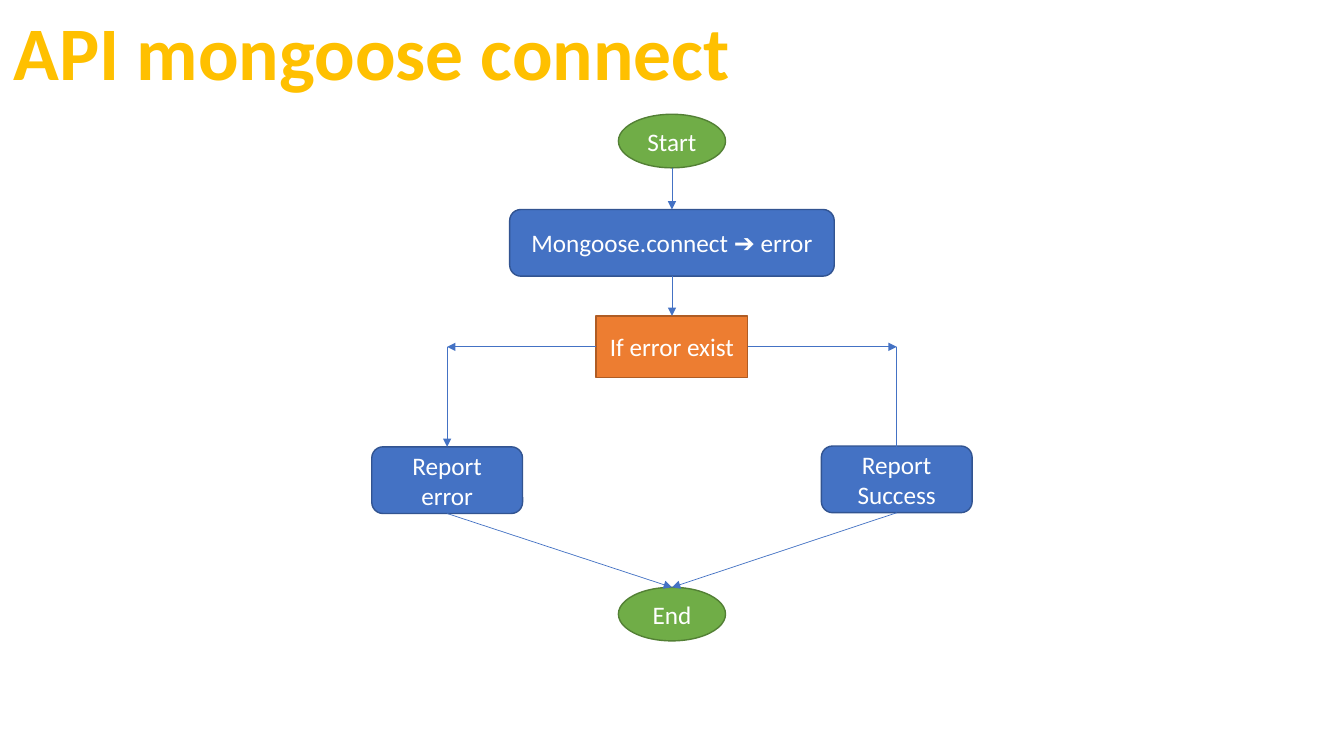
from lxml import etree
from pptx import Presentation
from pptx.dml.color import RGBColor
from pptx.enum.shapes import MSO_CONNECTOR as Link, MSO_SHAPE as Preset
from pptx.enum.text import MSO_ANCHOR as Anchor, MSO_AUTO_SIZE as AutoSize, PP_ALIGN as Align
from pptx.oxml.ns import qn
from pptx.util import Cm, Pt

COLORS = {
    "title": "FFC000", "text": "FFFFFF", "arrow": "4472C4",
    "terminal": "70AD47", "terminal line": "538035",
    "step": "4472C4", "step line": "325491",
    "test": "ED7D31", "test line": "AF5C24",
}
# Outline, width and height in cm for each kind of node
KINDS = {
    "terminal": (Preset.OVAL, 2.7, 1.35),
    "step": (Preset.ROUNDED_RECTANGLE, 3.8, 1.68),
    "test": (Preset.RECTANGLE, 3.82, 1.56),
}
TOP, LEFT, BOTTOM, RIGHT = range(4)


def color(name):
    return RGBColor.from_string(COLORS[name])


def write(box, text, size, color_name, bold=False):
    para = box.text_frame.paragraphs[0]
    para.alignment = Align.CENTER
    span = para.add_run()
    span.text = text
    span.font.name = "Calibri"
    span.font.size = Pt(size)
    span.font.bold = bold
    span.font.color.rgb = color(color_name)


def add_title(page, left, top, width, height):
    box = page.shapes.add_textbox(left, top, width, height)
    box.text_frame.word_wrap = False
    box.text_frame.auto_size = AutoSize.SHAPE_TO_FIT_TEXT
    write(box, "API mongoose connect", 54, "title", bold=True)


def add_node(page, kind, text, center, top, width=None):
    """Place a node by its horizontal centre and its top edge."""
    preset, usual_width, height = KINDS[kind]
    width = Cm(width or usual_width)
    box = page.shapes.add_shape(preset, center - width // 2, top, width, Cm(height))
    box.shadow.inherit = False
    box.fill.solid()
    box.fill.fore_color.rgb = color(kind)
    box.line.color.rgb = color(kind + " line")
    box.line.width = Pt(1)
    box.text_frame.word_wrap = True
    box.text_frame.vertical_anchor = Anchor.MIDDLE
    write(box, text, 18, "text")
    return box


def add_arrow(page, start, end, start_node=None, end_node=None):
    """Draw an arrow between points; a node given as (box, side) is joined."""
    arrow = page.shapes.add_connector(Link.STRAIGHT, *start, *end)
    if start_node:
        arrow.begin_connect(*start_node)
    if end_node:
        arrow.end_connect(*end_node)
    arrow.line.color.rgb = color("arrow")
    arrow.line.width = Pt(0.5)
    etree.SubElement(arrow.line._get_or_add_ln(), qn("a:tailEnd"), type="triangle")
    etree.SubElement(arrow._element.spPr, qn("a:effectLst"))


def add_flowchart(page, left, top, width):
    """Draw the flow from Start to End, symmetric about the middle of its box."""
    middle = left + width // 2
    half_step = Cm(KINDS["step"][1]) // 2
    error_x, success_x = left + half_step, left + width - half_step

    start = add_node(page, "terminal", "Start", middle, top)
    connect = add_node(page, "step", "Mongoose.connect ➔ error", middle, top + Cm(2.4), 8.18)
    test = add_node(page, "test", "If error exist", middle, top + Cm(5.08))
    error = add_node(page, "step", "Report error", error_x, top + Cm(8.38))
    success = add_node(page, "step", "Report Success", success_x, top + Cm(8.36))
    end = add_node(page, "terminal", "End", middle, top + Cm(11.92))

    branch_y = test.top + test.height // 2
    error_corner, success_corner = (error_x, branch_y), (success_x, branch_y)
    origin = (middle, top)

    add_arrow(page, success_corner, success_corner, start_node=(test, RIGHT))
    add_arrow(page, success_corner, (success_x, success.top + Cm(0.33)))
    add_arrow(page, error_corner, error_corner, start_node=(test, LEFT))
    add_arrow(page, error_corner, origin, end_node=(error, TOP))
    add_arrow(page, (middle, start.top + start.height), origin, end_node=(connect, TOP))
    add_arrow(page, origin, origin, (connect, BOTTOM), (test, TOP))
    for report in (error, success):
        add_arrow(page, origin, origin, (report, BOTTOM), (end, TOP))


def main():
    deck = Presentation()
    deck.slide_width, deck.slide_height = Cm(33.87), Cm(19.05)
    page = deck.slides.add_slide(deck.slide_layouts[6])
    add_title(page, Cm(0), Cm(0), Cm(18.75), Cm(2.56))
    add_flowchart(page, Cm(9.37), Cm(2.88), Cm(15.13))
    deck.save("out.pptx")


if __name__ == "__main__":
    main()
